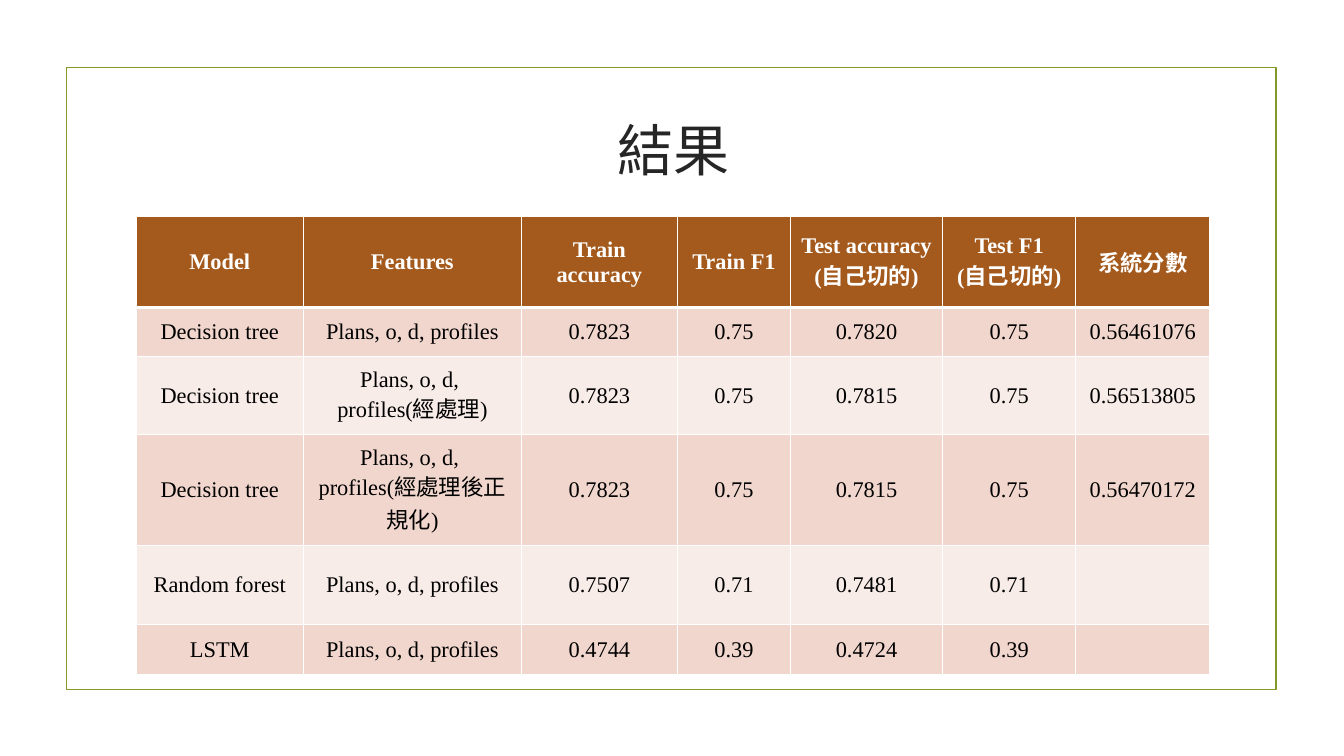
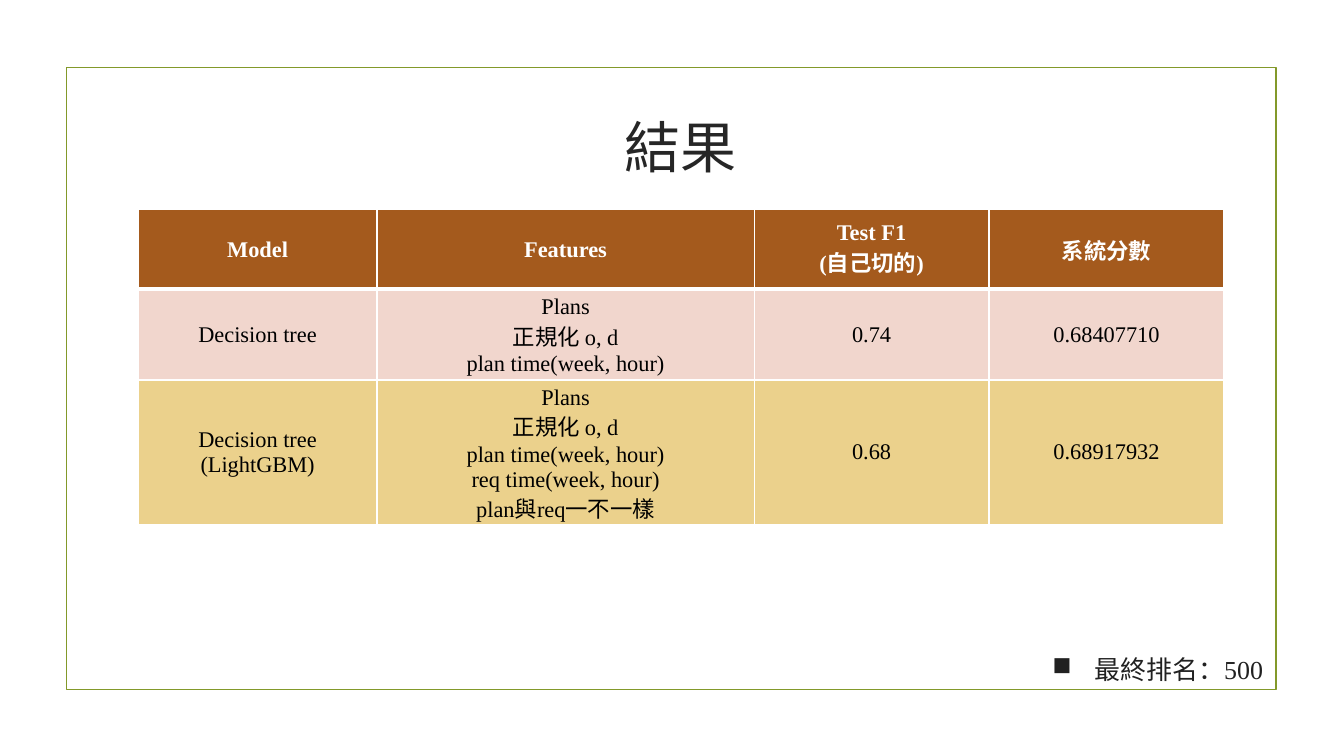
from lxml import etree
from pptx import Presentation
from pptx.dml.color import RGBColor
from pptx.enum.shapes import MSO_SHAPE
from pptx.enum.text import MSO_ANCHOR, PP_ALIGN
from pptx.oxml.ns import qn
from pptx.util import Inches, Pt

RECTANGLE = MSO_SHAPE.RECTANGLE
MIDDLE, TOP = MSO_ANCHOR.MIDDLE, MSO_ANCHOR.TOP
CENTER, LEFT = PP_ALIGN.CENTER, PP_ALIGN.LEFT

FONT = "Times New Roman"
COLORS = {
    "frame": "83992A",
    "title": "262626",
    "note": "212121",
    "header": "A45A1D",
    "dark_band": "F1D6CD",
    "light_band": "F8ECE8",
    "highlight": "EBD18C",
    "white": "FFFFFF",
    "black": "000000",
}


def color(name):
    return RGBColor.from_string(COLORS[name])


class SlideBuilder:
    """Holds the shared style and draws elements on the current slide."""

    def __init__(self):
        self.deck = Presentation()
        self.deck.slide_width = Inches(13.33)
        self.deck.slide_height = Inches(7.5)
        self.page = None

    def new_page(self):
        self.page = self.deck.slides.add_slide(self.deck.slide_layouts[6])
        frame = self.page.shapes.add_shape(
            RECTANGLE, Inches(0.66), Inches(0.67), Inches(12), Inches(6.17))
        frame.shadow.inherit = False
        frame.fill.background()
        frame.line.color.rgb = color("frame")
        frame.line.width = Pt(1.25)

    def add_text(self, para, text, size, color_name, bold=False, align=CENTER):
        para.alignment = align
        span = para.add_run()
        span.text = text
        span.font.name = FONT
        span.font.size = Pt(size)
        span.font.bold = bold
        span.font.color.rgb = color(color_name)

    def text_box(self, left, top, width, height, anchor):
        box = self.page.shapes.add_textbox(
            Inches(left), Inches(top), Inches(width), Inches(height))
        box.text_frame.word_wrap = True
        box.text_frame.vertical_anchor = anchor
        return box.text_frame.paragraphs[0]

    def title(self, text, left, top, width):
        para = self.text_box(left, top, width, 1, MIDDLE)
        self.add_text(para, text, 40, "title")

    def bullet(self, text, left, top, width, height):
        para = self.text_box(left, top, width, height, TOP)
        self.add_text(para, text, 18.5, "note", align=LEFT)
        para.line_spacing = 1.3
        para.space_before = Pt(10)
        para.space_after = Pt(2)
        properties = para._p.get_or_add_pPr()
        properties.set("marL", str(Inches(0.42)))
        properties.set("indent", str(Inches(-0.42)))
        etree.SubElement(properties, qn("a:buChar")).set("char", "■")

    def borders(self, cell, top, bottom):
        properties = cell._tc.get_or_add_tcPr()
        sides = (("L", 1), ("R", 1), ("T", top), ("B", bottom))
        for index, (side, width) in enumerate(sides):
            line = etree.Element(qn(f"a:ln{side}"), w=str(Pt(width)))
            fill = etree.SubElement(line, qn("a:solidFill"))
            etree.SubElement(fill, qn("a:srgbClr")).set("val", COLORS["white"])
            properties.insert(index, line)

    def cell(self, cell, text, fill, header):
        cell.vertical_anchor = MIDDLE
        cell.fill.solid()
        cell.fill.fore_color.rgb = color(fill)
        if not text:
            return
        for index, line in enumerate(text.split("\n")):
            frame = cell.text_frame
            para = frame.add_paragraph() if index else frame.paragraphs[0]
            self.add_text(para, line, 16, "white" if header else "black", header)

    def table(self, left, top, widths, heights, rows, bands):
        table = self.page.shapes.add_table(
            len(rows), len(widths), Inches(left), Inches(top),
            Inches(sum(widths)), Inches(sum(heights))).table
        table.horz_banding = False
        for column, width in zip(table.columns, widths):
            column.width = Inches(width)
        for index, (values, height) in enumerate(zip(rows, heights)):
            table.rows[index].height = Inches(height)
            header = index == 0
            fill = "header" if header else bands[(index - 1) % len(bands)]
            for cell, text in zip(table.rows[index].cells, values):
                self.cell(cell, text, fill, header)
                self.borders(cell, 3 if index == 1 else 1, 3 if header else 1)


def main():
    builder = SlideBuilder()

    builder.new_page()
    builder.title("結果", 1.35, 0.98, 10.65)
    builder.table(
        1.35, 2.15,
        [1.66, 2.16, 1.55, 1.12, 1.51, 1.32, 1.33],
        [0.77, 0.49, 0.77, 1.1, 0.79, 0.49],
        [
            ["Model", "Features", "Train accuracy", "Train F1",
             "Test accuracy\n(自己切的)", "Test F1\n(自己切的)", "系統分數"],
            ["Decision tree", "Plans, o, d, profiles",
             "0.7823", "0.75", "0.7820", "0.75", "0.56461076"],
            ["Decision tree", "Plans, o, d, \nprofiles(經處理)",
             "0.7823", "0.75", "0.7815", "0.75", "0.56513805"],
            ["Decision tree", "Plans, o, d, \nprofiles(經處理後正規化)",
             "0.7823", "0.75", "0.7815", "0.75", "0.56470172"],
            ["Random forest", "Plans, o, d, profiles",
             "0.7507", "0.71", "0.7481", "0.71", ""],
            ["LSTM", "Plans, o, d, profiles",
             "0.4744", "0.39", "0.4724", "0.39", ""],
        ],
        ["dark_band", "light_band"])

    builder.new_page()
    builder.title("結果", 1.5, 0.95, 10.5)
    plan_features = "Plans\n正規化 o, d\nplan time(week, hour)"
    builder.table(
        1.37, 2.08,
        [2.37, 3.74, 2.33, 2.33],
        [0.79, 0.58, 0.58],
        [
            ["Model", "Features", "Test F1\n(自己切的)", "系統分數"],
            ["Decision tree", plan_features, "0.74", "0.68407710"],
            ["Decision tree\n(LightGBM)",
             plan_features + "\nreq time(week, hour)\nplan與req一不一樣",
             "0.68", "0.68917932"],
        ],
        ["dark_band", "highlight"])
    builder.bullet("最終排名：500", 10.34, 6.34, 2.42, 0.53)

    builder.deck.save("out.pptx")


if __name__ == "__main__":
    main()
